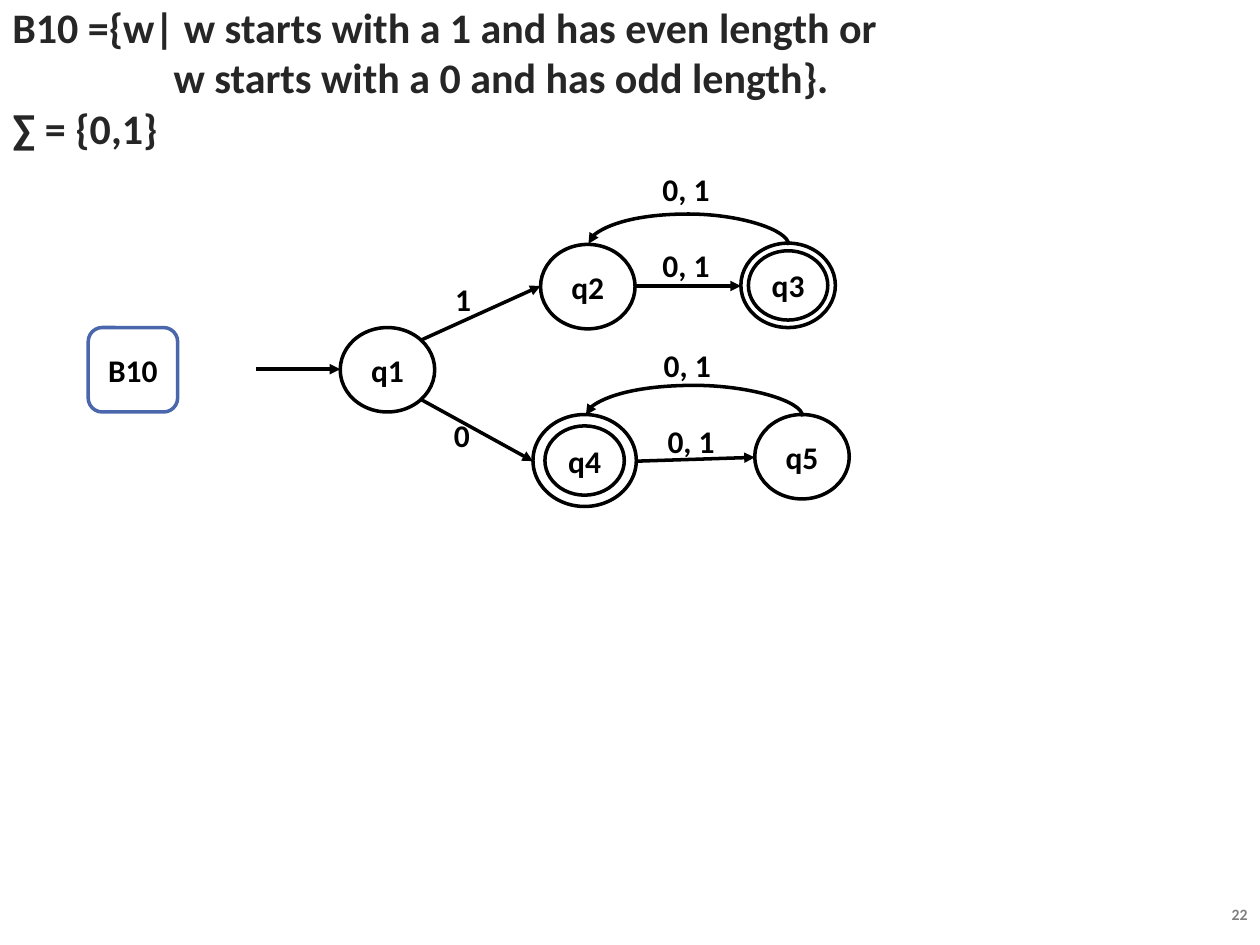
from typing import NamedTuple

from lxml.etree import SubElement
from pptx import Presentation
from pptx.dml.color import RGBColor
from pptx.enum.shapes import MSO_CONNECTOR, MSO_SHAPE
from pptx.enum.text import MSO_ANCHOR, PP_ALIGN
from pptx.oxml.ns import qn
from pptx.util import Inches, Pt

FONT = "Calibri"
BLACK, WHITE, BLUE, DARK_GREY, GREY = "000000", "FFFFFF", "4A66AC", "262626", "808080"
LINE_WIDTH = Pt(2)
RING_WIDTH, RING_HEIGHT = 0.63, 0.55
LABEL_WIDTH, LABEL_HEIGHT = 0.65, 0.45
LOOP_LIFT = 0.25
LOOP_RISE = 0.01


class State(NamedTuple):
    name: str
    left: float
    top: float
    width: float = 0.75
    height: float = 0.67
    accepting: bool = False


class Transition(NamedTuple):
    start: tuple[float, float]
    end: tuple[float, float]


class Loop(NamedTuple):
    start_x: float
    end_x: float
    y: float


class Label(NamedTuple):
    text: str
    left: float
    top: float


class Line(NamedTuple):
    text: str
    indent: float = 0


STATES = [
    State("q1", 2.7, 2.6),
    State("q2", 4.29, 1.94),
    State("q3", 5.88, 1.93, accepting=True),
    State("q4", 4.23, 3.29, 0.82, 0.73, accepting=True),
    State("q5", 5.99, 3.29),
]
TRANSITIONS = [
    Transition((2.03, 2.93), (2.7, 2.93)),
    Transition((3.34, 2.7), (4.29, 2.27)),
    Transition((3.34, 3.17), (4.23, 3.66)),
    Transition((5.04, 2.27), (5.88, 2.27)),
    Transition((5.06, 3.66), (5.99, 3.63)),
]
LOOPS = [Loop(6.26, 4.67, 1.94), Loop(6.37, 4.65, 3.3)]
LABELS = [
    Label("1", 3.35, 2.15),
    Label("0", 3.34, 3.23),
    Label("0, 1", 5.12, 1.27),
    Label("0, 1", 5.12, 1.88),
    Label("0, 1", 5.13, 2.67),
    Label("0, 1", 5.16, 3.27),
]
DEFINITION = [
    Line("B10 ={w| w starts with a 1 and has even length or"),
    Line("w starts with a 0 and has odd length}.", 1.28),
    Line("∑ = {0,1}"),
]


def color(value: str) -> RGBColor:
    return RGBColor.from_string(value)


def write_line(paragraph, text: str, size: float = 18, font_color: str = BLACK,
               alignment=PP_ALIGN.CENTER) -> None:
    paragraph.alignment = alignment
    run = paragraph.add_run()
    run.text = text
    run.font.name = FONT
    run.font.size = Pt(size)
    run.font.bold = True
    run.font.color.rgb = color(font_color)


def add_outline(slide, kind, left: float, top: float, width: float, height: float,
                text: str = "", line: str = BLACK, fill: str | None = WHITE) -> None:
    """Add a preset shape with a plain outline and centred text."""
    shape = slide.shapes.add_shape(kind, Inches(left), Inches(top), Inches(width), Inches(height))
    shape.shadow.inherit = False
    shape.line.color.rgb = color(line)
    shape.line.width = LINE_WIDTH
    if fill:
        shape.fill.solid()
        shape.fill.fore_color.rgb = color(fill)
    else:
        shape.fill.background()
    if text:
        shape.text_frame.vertical_anchor = MSO_ANCHOR.MIDDLE
        write_line(shape.text_frame.paragraphs[0], text)


def add_text_frame(slide, left: float, top: float, width: float, height: float):
    box = slide.shapes.add_textbox(Inches(left), Inches(top), Inches(width), Inches(height))
    frame = box.text_frame
    frame.word_wrap = True
    frame.vertical_anchor = MSO_ANCHOR.MIDDLE
    frame.margin_top = frame.margin_bottom = 0
    return frame


def add_state(slide, state: State) -> None:
    add_outline(slide, MSO_SHAPE.OVAL, state.left, state.top, state.width, state.height, state.name)
    if state.accepting:
        ring_left = state.left + (state.width - RING_WIDTH) / 2
        ring_top = state.top + (state.height - RING_HEIGHT) / 2
        add_outline(slide, MSO_SHAPE.OVAL, ring_left, ring_top, RING_WIDTH, RING_HEIGHT, fill=None)


def add_arrow(slide, kind, start: tuple[float, float], end: tuple[float, float]):
    connector = slide.shapes.add_connector(kind, *map(Inches, start + end))
    connector.line.color.rgb = color(BLACK)
    connector.line.width = LINE_WIDTH
    properties = connector._element.spPr
    SubElement(properties.find(qn("a:ln")), qn("a:tailEnd"), type="triangle")
    SubElement(properties, qn("a:effectLst"))
    return connector


def add_loop(slide, loop: Loop) -> None:
    """Add a curved arrow that arches up and back to the left."""
    center_x = (loop.start_x + loop.end_x) / 2
    half_span = (loop.start_x - loop.end_x) / 2
    # The connector is laid out upright, then turned a quarter to the left.
    arrow = add_arrow(slide, MSO_CONNECTOR.CURVE,
                      (center_x - LOOP_RISE / 2, loop.y + half_span),
                      (center_x + LOOP_RISE / 2, loop.y - half_span))
    properties = arrow._element.spPr
    properties.find(qn("a:xfrm")).set("rot", str(270 * 60000))
    geometry = properties.find(qn("a:prstGeom"))
    adjustments = geometry.find(qn("a:avLst"))
    if adjustments is None:
        adjustments = SubElement(geometry, qn("a:avLst"))
    bend = round(LOOP_LIFT / LOOP_RISE * 100000)
    SubElement(adjustments, qn("a:gd"), name="adj1", fmla=f"val {bend}")


def add_definition(slide) -> None:
    frame = add_text_frame(slide, 0, 0, 9.1, 1.22)
    for index, line in enumerate(DEFINITION):
        paragraph = frame.add_paragraph() if index else frame.paragraphs[0]
        write_line(paragraph, line.text, 24, DARK_GREY, PP_ALIGN.LEFT)
        if line.indent:
            paragraph_properties = paragraph._p.get_or_add_pPr()
            paragraph_properties.set("marL", str(Inches(line.indent)))
            paragraph_properties.set("indent", "0")


def main() -> None:
    presentation = Presentation()
    presentation.slide_width = Inches(10)
    presentation.slide_height = Inches(7.5)
    slide = presentation.slides.add_slide(presentation.slide_layouts[6])

    add_definition(slide)
    add_outline(slide, MSO_SHAPE.ROUNDED_RECTANGLE, 0.7, 2.6, 0.71, 0.67, "B10", BLUE)
    for state in STATES:
        add_state(slide, state)
    for transition in TRANSITIONS:
        add_arrow(slide, MSO_CONNECTOR.STRAIGHT, transition.start, transition.end)
    for loop in LOOPS:
        add_loop(slide, loop)
    for label in LABELS:
        frame = add_text_frame(slide, label.left, label.top, LABEL_WIDTH, LABEL_HEIGHT)
        write_line(frame.paragraphs[0], label.text)
    slide_number = add_text_frame(slide, 8.73, 7.13, 1.27, 0.25)
    write_line(slide_number.paragraphs[0], "22", 9, GREY, PP_ALIGN.RIGHT)

    presentation.save("out.pptx")


if __name__ == "__main__":
    main()
